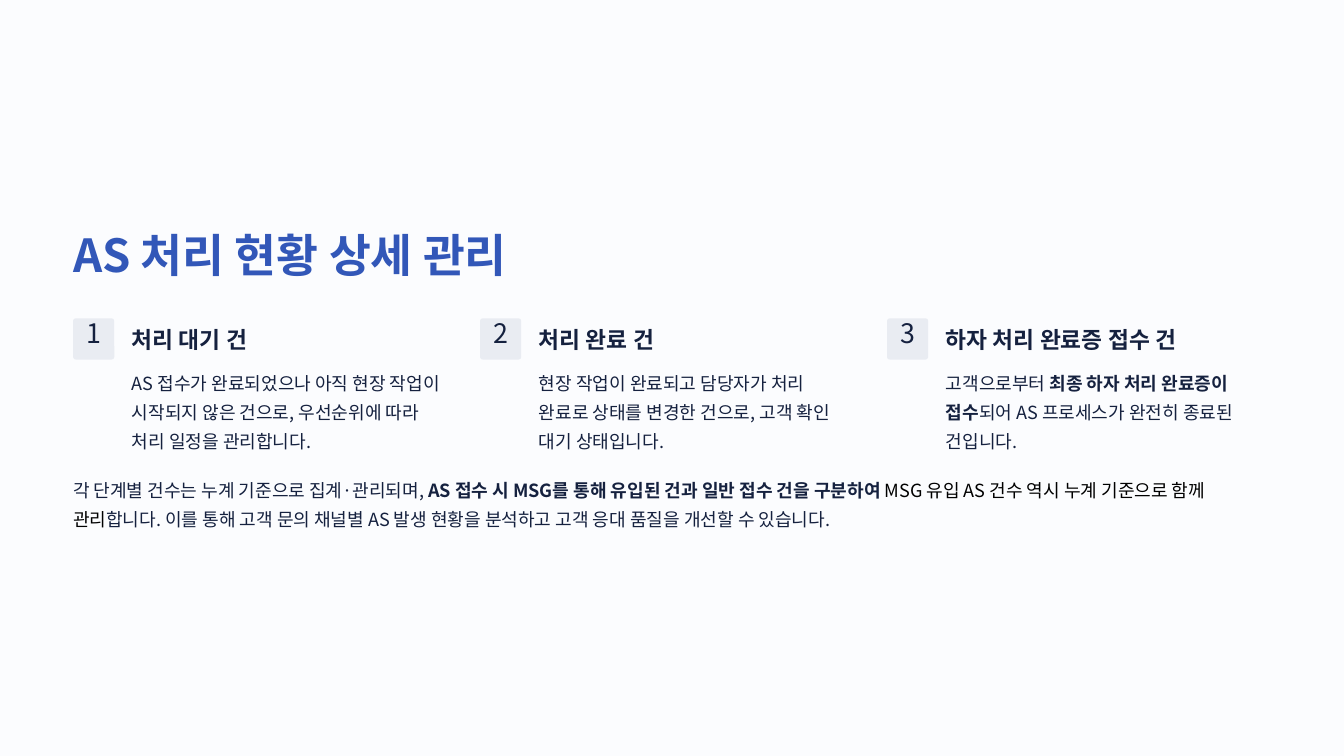
from dataclasses import dataclass

from lxml.etree import SubElement
from pptx import Presentation
from pptx.dml.color import RGBColor
from pptx.enum.shapes import MSO_SHAPE as Shape
from pptx.enum.text import MSO_ANCHOR as Anchor, MSO_AUTO_SIZE as AutoSize, PP_ALIGN as Align
from pptx.oxml.ns import qn
from pptx.util import Inches, Pt


@dataclass(frozen=True)
class Style:
    size: float
    leading: float
    color: str
    bold: bool = False


@dataclass(frozen=True)
class Theme:
    font: str = "Noto Sans CJK KR"
    ground: str = "FBFCFE"
    badge: str = "E9ECF2"
    black: str = "000000"
    title: Style = Style(39, 48.5, "3257B8", True)
    number: Style = Style(23, 23, "15213F")
    heading: Style = Style(19.5, 24, "15213F", True)
    body: Style = Style(15.5, 25, "15213F")


THEME = Theme()

# Grid: three columns between equal side margins
WIDTH, HEIGHT = 16, 9
MARGIN = 0.87
GUTTER = 0.97
COLUMNS = 3
COLUMN = (WIDTH - 2 * MARGIN - (COLUMNS - 1) * GUTTER / 1) / COLUMNS + 0.07
PITCH = (WIDTH - 2 * MARGIN + 0.275) / COLUMNS
INDENT = 0.7
BADGE = 0.49
TITLE_ROW, BADGE_ROW, HEADING_ROW, BODY_ROW, SUMMARY_ROW = 2.68, 3.79, 3.87, 4.34, 5.62

# Each step: heading, then (text, bold) spans
STEPS = [
    ("처리 대기 건", [
        ("AS 접수가 완료되었으나 아직 현장 작업이 시작되지 않은 건으로, "
         "우선순위에 따라 처리 일정을 관리합니다.", False)]),
    ("처리 완료 건", [
        ("현장 작업이 완료되고 담당자가 처리 완료로 상태를 변경한 건으로, "
         "고객 확인 대기 상태입니다.", False)]),
    ("하자 처리 완료증 접수 건", [
        ("고객으로부터 ", False),
        ("최종 하자 처리 완료증이 접수", True),
        ("되어 AS 프로세스가 완전히 종료된 건입니다.", False)]),
]

# Summary spans: text, bold, colour
SUMMARY = [
    ("각 단계별 건수는 누계 기준으로 집계·관리되며, ", False, THEME.body.color),
    ("AS 접수 시 MSG를 통해 유입된 건과 일반 접수 건을 구분하여 ", True, THEME.body.color),
    ("MSG 유입 AS 건수 역시 누계 기준으로 함께 관리", False, THEME.black),
    ("합니다. 이를 통해 고객 문의 채널별 AS 발생 현황을 분석하고 "
     "고객 응대 품질을 개선할 수 있습니다.", False, THEME.body.color),
]


def add_span(para, text, style, bold, color):
    span = para.add_run()
    span.text = text
    font = span.font
    font.name, font.size, font.bold = THEME.font, Pt(style.size), bold
    font.color.rgb = RGBColor.from_string(color)
    # Hangul takes its face from the East Asian font slot
    SubElement(font._element, qn("a:ea"), typeface=THEME.font)


def write(box, spans, style, align=Align.LEFT, wrap=False):
    """Fill a box with one paragraph of (text, bold, colour) spans."""
    frame = box.text_frame
    frame.margin_left = frame.margin_right = frame.margin_top = frame.margin_bottom = 0
    frame.vertical_anchor = Anchor.TOP
    frame.auto_size = AutoSize.NONE
    frame.word_wrap = wrap
    para = frame.paragraphs[0]
    para.alignment = align
    para.line_spacing = Pt(style.leading)
    para.space_before = para.space_after = Pt(0)
    for text, bold, color in spans:
        add_span(para, text, style, bold, color)


def plain(text, style):
    return [(text, style.bold, style.color)]


def add_box(page, left, top, width, height):
    return page.shapes.add_textbox(*map(Inches, (left, top, width, height)))


def add_title(page, text):
    box = page.shapes.title
    box.left, box.top = Inches(MARGIN), Inches(TITLE_ROW)
    box.width, box.height = Inches(5.43), Inches(0.68)
    write(box, plain(text, THEME.title), THEME.title)


def add_badge(page, left, number):
    badge = page.shapes.add_shape(
        Shape.ROUNDED_RECTANGLE, *map(Inches, (left, BADGE_ROW, BADGE, BADGE)))
    badge.adjustments[0] = 0.067
    badge.shadow.inherit = False
    badge.fill.solid()
    badge.fill.fore_color.rgb = RGBColor.from_string(THEME.badge)
    badge.line.fill.background()
    label = add_box(page, left + 0.08, BADGE_ROW + 0.04, BADGE - 0.16, 0.41)
    write(label, plain(str(number), THEME.number), THEME.number, Align.CENTER)


def add_step(page, index, heading, spans):
    left = MARGIN + index * PITCH
    width = COLUMN - INDENT + 0.3
    add_badge(page, left, index + 1)
    head = add_box(page, left + INDENT, HEADING_ROW, 2.71, 0.34)
    write(head, plain(heading, THEME.heading), THEME.heading)
    body = add_box(page, left + INDENT, BODY_ROW, width, 1.04)
    colored = [(text, bold, THEME.body.color) for text, bold in spans]
    write(body, colored, THEME.body, wrap=True)


def main():
    deck = Presentation()
    deck.slide_width, deck.slide_height = Inches(WIDTH), Inches(HEIGHT)
    page = deck.slides.add_slide(deck.slide_layouts[5])
    ground = page.background.fill
    ground.solid()
    ground.fore_color.rgb = RGBColor.from_string(THEME.ground)

    # Title, three steps and summary
    add_title(page, "AS 처리 현황 상세 관리")
    for index, (heading, spans) in enumerate(STEPS):
        add_step(page, index, heading, spans)
    summary = add_box(page, MARGIN, SUMMARY_ROW, WIDTH - 2 * MARGIN, 0.69)
    write(summary, SUMMARY, THEME.body, wrap=True)

    deck.save("out.pptx")


if __name__ == "__main__":
    main()
